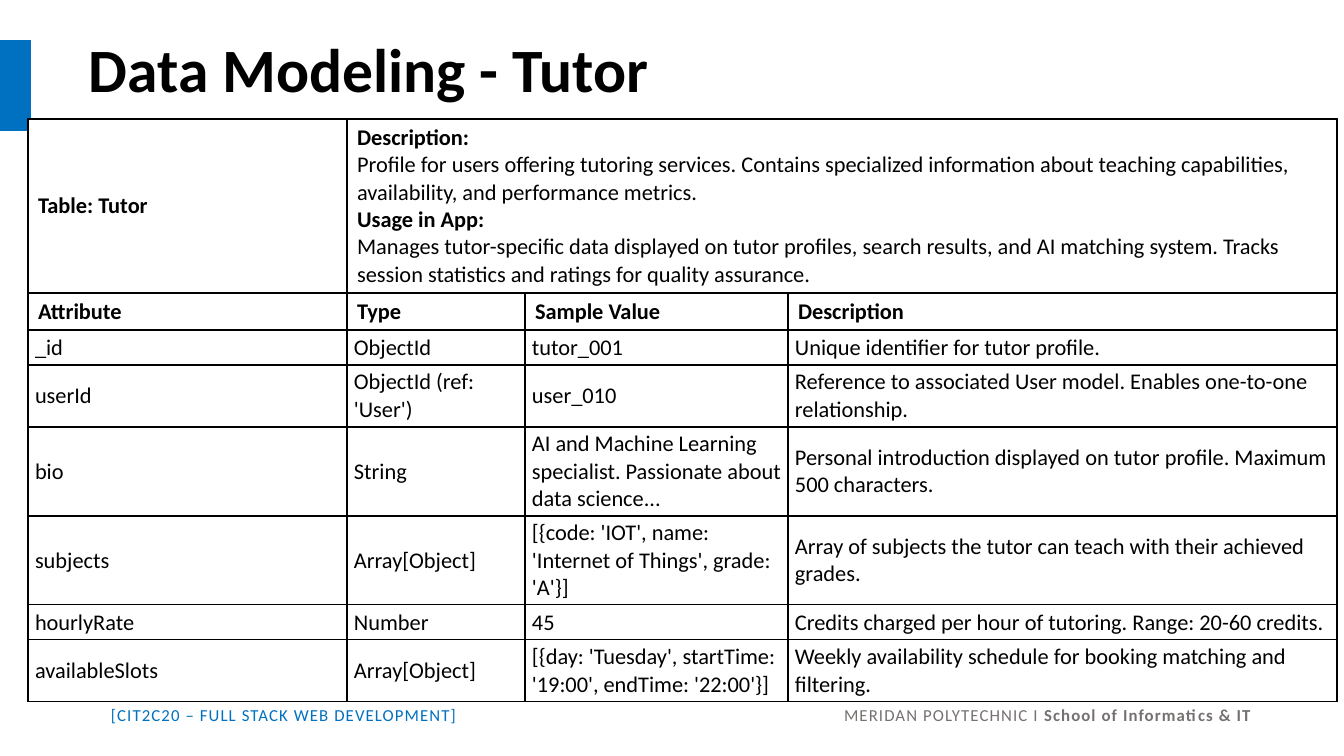
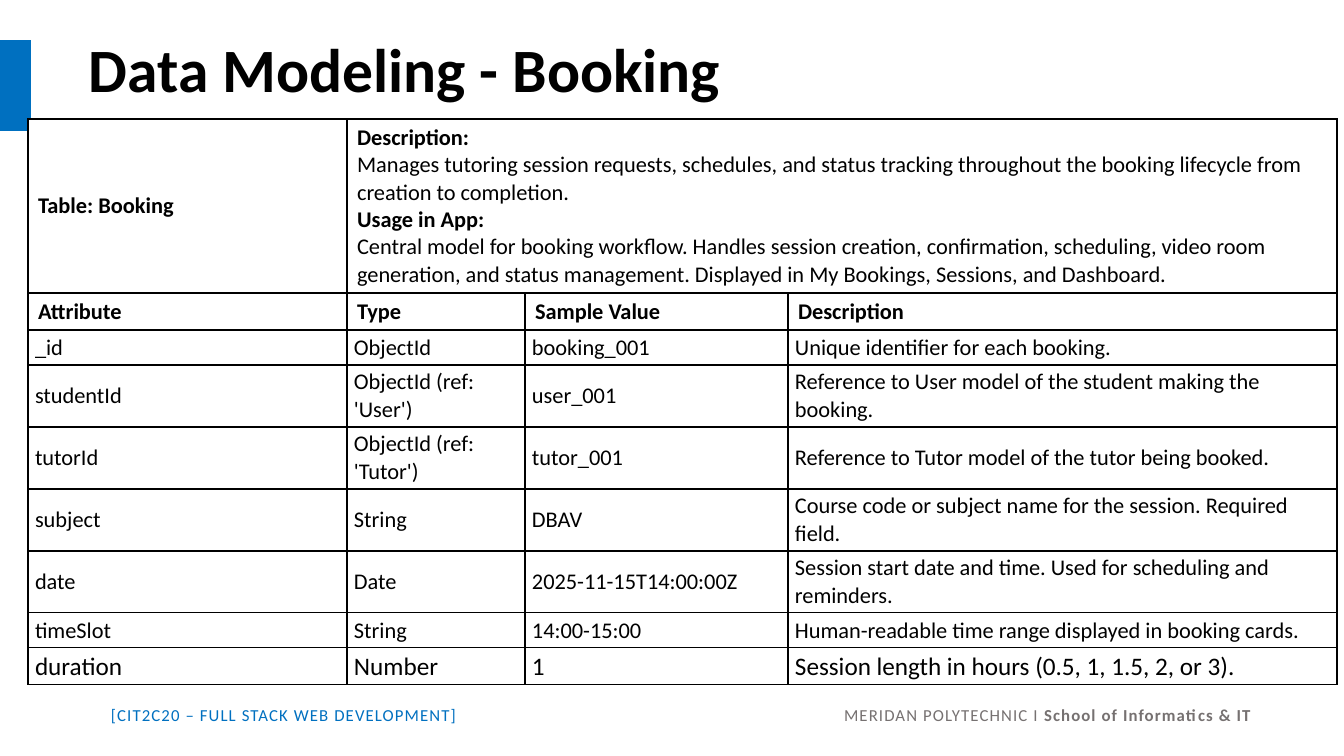
import dataclasses

import lxml.etree
import pptx
import pptx.dml.color
import pptx.enum.shapes
import pptx.enum.text
import pptx.oxml.ns
import pptx.util

ALIGN = pptx.enum.text.PP_ALIGN
ANCHOR = pptx.enum.text.MSO_ANCHOR


@dataclasses.dataclass(frozen=True)
class Theme:
    font: str = "Calibri"
    accent: str = "0070C0"
    ink: str = "000000"
    muted: str = "767171"
    paper: str = "FFFFFF"
    title_pt: int = 44
    body_pt: int = 16
    large_pt: int = 18
    footer_pt: int = 12
    footer_spacing: int = 80  # hundredths of a point
    border_pt: int = 1


THEME = Theme()
SLIDE_W, SLIDE_H = 1344, 756
PX_PER_INCH = 100.8

# Boxes as left, top, width, height in px
BAND = (0, 40, 31, 91)
TITLE = (79, 0, 1159, 146)
FOOTER = (101, 700, 1160, 30)
TABLE_LEFT, TABLE_TOP = 28, 119
COLUMNS = (319, 178, 263, 549)
BODY_INSETS = (7, 3)
HEADINGS = ("Attribute", "Type", "Sample Value", "Description")
SUMMARY_H, HEADING_H = 174, 37

# Each attribute row: height, type size, then the four cell texts
TUTOR = dict(
    name="Tutor",
    description="Profile for users offering tutoring services. Contains specialized information "
                "about teaching capabilities, availability, and performance metrics.",
    usage="Manages tutor-specific data displayed on tutor profiles, search results, and AI "
          "matching system. Tracks session statistics and ratings for quality assurance.",
    rows=[
        (35, THEME.body_pt, "_id", "ObjectId", "tutor_001",
         "Unique identifier for tutor profile."),
        (62, THEME.body_pt, "userId", "ObjectId (ref: 'User')", "user_010",
         "Reference to associated User model. Enables one-to-one relationship."),
        (89, THEME.body_pt, "bio", "String",
         "AI and Machine Learning specialist. Passionate about data science...",
         "Personal introduction displayed on tutor profile. Maximum 500 characters."),
        (89, THEME.body_pt, "subjects", "Array[Object]",
         "[{code: 'IOT', name: 'Internet of Things', grade: 'A'}]",
         "Array of subjects the tutor can teach with their achieved grades."),
        (35, THEME.body_pt, "hourlyRate", "Number", "45",
         "Credits charged per hour of tutoring. Range: 20-60 credits."),
        (62, THEME.body_pt, "availableSlots", "Array[Object]",
         "[{day: 'Tuesday', startTime: '19:00', endTime: '22:00'}]",
         "Weekly availability schedule for booking matching and filtering."),
    ],
)
BOOKING = dict(
    name="Booking",
    description="Manages tutoring session requests, schedules, and status tracking throughout "
                "the booking lifecycle from creation to completion.",
    usage="Central model for booking workflow. Handles session creation, confirmation, "
          "scheduling, video room generation, and status management. Displayed in My Bookings, "
          "Sessions, and Dashboard.",
    rows=[
        (35, THEME.body_pt, "_id", "ObjectId", "booking_001",
         "Unique identifier for each booking."),
        (62, THEME.body_pt, "studentId", "ObjectId (ref: 'User')", "user_001",
         "Reference to User model of the student making the booking."),
        (62, THEME.body_pt, "tutorId", "ObjectId (ref: 'Tutor')", "tutor_001",
         "Reference to Tutor model of the tutor being booked."),
        (62, THEME.body_pt, "subject", "String", "DBAV",
         "Course code or subject name for the session. Required field."),
        (62, THEME.body_pt, "date", "Date", "2025-11-15T14:00:00Z",
         "Session start date and time. Used for scheduling and reminders."),
        (35, THEME.body_pt, "timeSlot", "String", "14:00-15:00",
         "Human-readable time range displayed in booking cards."),
        (37, THEME.large_pt, "duration", "Number", "1",
         "Session length in hours (0.5, 1, 1.5, 2, or 3)."),
    ],
)


def px(n):
    return pptx.util.Emu(round(n * 914400 / PX_PER_INCH))


def rgb(value):
    return pptx.dml.color.RGBColor.from_string(value)


def style_run(r, size, color, bold=False):
    r.font.name = THEME.font
    r.font.size = pptx.util.Pt(size)
    r.font.bold = bold
    r.font.color.rgb = rgb(color)


def add_text(slide, box, text, size, color, bold=False, align=ALIGN.LEFT, anchor=ANCHOR.TOP):
    tf = slide.shapes.add_textbox(*map(px, box)).text_frame
    tf.word_wrap = True
    tf.vertical_anchor = anchor
    tf.text = text
    p = tf.paragraphs[0]
    p.alignment = align
    style_run(p.runs[0], size, color, bold)
    return p


def add_footer(slide, box):
    left, top, width, height = box
    half = width // 2
    course = add_text(slide, (left, top, half, height), "[CIT2C20 – FULL STACK WEB DEVELOPMENT]",
                      THEME.footer_pt, THEME.accent)
    school = add_text(slide, (left + half, top, width - half, height), "MERIDAN POLYTECHNIC I ",
                      THEME.footer_pt, THEME.muted, align=ALIGN.RIGHT)
    r = school.add_run()
    r.text = "School of Informatics & IT"
    style_run(r, THEME.footer_pt, THEME.muted, bold=True)
    for r in course.runs + school.runs:
        r.font._element.set("spc", str(THEME.footer_spacing))


def add_band(slide, box):
    sp = slide.shapes.add_shape(pptx.enum.shapes.MSO_SHAPE.RECTANGLE, *map(px, box))
    sp.shadow.inherit = False
    sp.fill.solid()
    sp.fill.fore_color.rgb = rgb(THEME.accent)
    sp.line.fill.background()


def frame_cell(cell):
    """Draw the four borders and the fill of a cell."""
    tcPr = cell._tc.get_or_add_tcPr()
    qn = pptx.oxml.ns.qn
    for side in "LRTB":
        ln = lxml.etree.SubElement(tcPr, qn("a:ln" + side), w=str(pptx.util.Pt(THEME.border_pt)))
        fill = lxml.etree.SubElement(ln, qn("a:solidFill"))
        lxml.etree.SubElement(fill, qn("a:srgbClr"), val=THEME.ink)
    cell.fill.solid()
    cell.fill.fore_color.rgb = rgb(THEME.paper)
    cell.vertical_anchor = ANCHOR.MIDDLE


def fill_cell(cell, lines, size=THEME.body_pt, insets=None):
    """Write (text, bold) lines into a cell."""
    cell.text_frame.text = "\n".join(text for text, _ in lines)
    for p, (_, bold) in zip(cell.text_frame.paragraphs, lines):
        style_run(p.runs[0], size, THEME.ink, bold)
    if insets:
        cell.margin_left = cell.margin_right = px(insets[0])
        cell.margin_top = cell.margin_bottom = px(insets[1])


def add_model_table(slide, left, top, model):
    heights = [SUMMARY_H, HEADING_H] + [row[0] for row in model["rows"]]
    box = (left, top, sum(COLUMNS), sum(heights))
    table = slide.shapes.add_table(len(heights), len(COLUMNS), *map(px, box)).table
    table.first_row = table.horz_banding = False
    for column, width in zip(table.columns, COLUMNS):
        column.width = px(width)
    for row, height in zip(table.rows, heights):
        row.height = px(height)
    for cell in table.iter_cells():
        frame_cell(cell)

    # Summary row
    table.cell(0, 1).merge(table.cell(0, len(COLUMNS) - 1))
    fill_cell(table.cell(0, 0), [("Table: " + model["name"], True)])
    fill_cell(table.cell(0, 1), [("Description:", True), (model["description"], False),
                                 ("Usage in App:", True), (model["usage"], False)])

    # Headings and attributes
    for c, heading in enumerate(HEADINGS):
        fill_cell(table.cell(1, c), [(heading, True)])
    for i, (_, size, *texts) in enumerate(model["rows"], start=2):
        for c, text in enumerate(texts):
            fill_cell(table.cell(i, c), [(text, False)], size, BODY_INSETS)


def add_model_slide(prs, model):
    slide = prs.slides.add_slide(prs.slide_layouts[6])
    add_footer(slide, FOOTER)
    add_band(slide, BAND)
    title = add_text(slide, TITLE, "Data Modeling - " + model["name"], THEME.title_pt, THEME.ink,
                     bold=True, anchor=ANCHOR.MIDDLE)
    title.line_spacing = 0.9
    add_model_table(slide, TABLE_LEFT, TABLE_TOP, model)


def main():
    prs = pptx.Presentation()
    prs.slide_width, prs.slide_height = px(SLIDE_W), px(SLIDE_H)
    for model in (TUTOR, BOOKING):
        add_model_slide(prs, model)
    prs.save("out.pptx")


if __name__ == "__main__":
    main()
